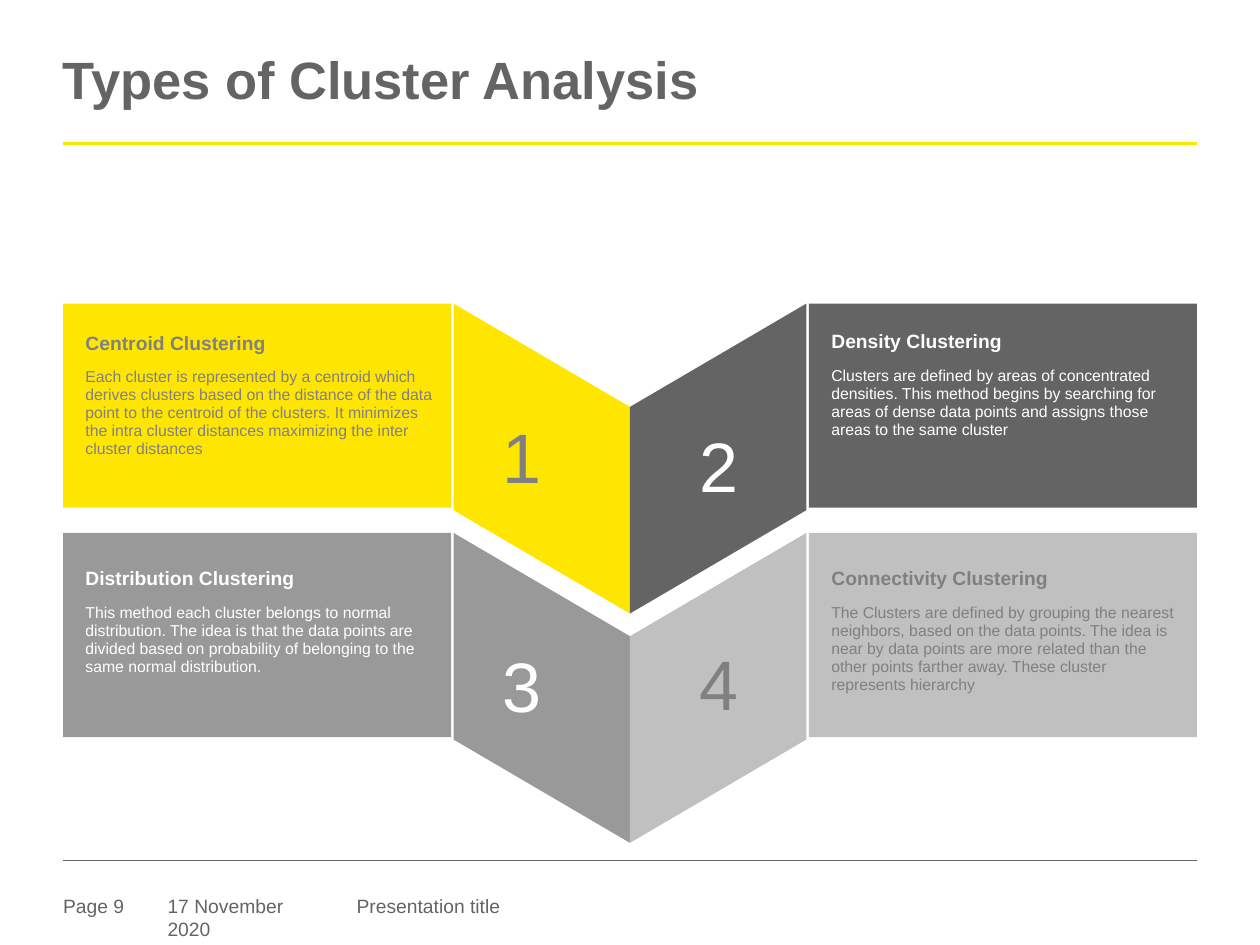
from pptx import Presentation
from pptx.dml.color import RGBColor
from pptx.enum.shapes import MSO_CONNECTOR, MSO_SHAPE
from pptx.enum.text import MSO_ANCHOR, PP_ALIGN
from pptx.oxml.ns import qn
from pptx.util import Inches, Pt
from lxml import etree

STRAIGHT = MSO_CONNECTOR.STRAIGHT
RECTANGLE = MSO_SHAPE.RECTANGLE
TOP, BOTTOM = MSO_ANCHOR.TOP, MSO_ANCHOR.BOTTOM
CENTER = PP_ALIGN.CENTER

WIDTH, HEIGHT = 10, 7.5
MARGIN = 0.5
CENTRE = WIDTH / 2
ROW_TOPS = (2.41, 4.23)
CARD_WIDTH, CARD_HEIGHT = 3.08, 1.62
WING_WIDTH, WING_HEIGHT, WING_DROP = 1.4, 1.64, 0.82
CARD_LEFTS = (MARGIN, WIDTH - MARGIN - CARD_WIDTH)
NUMBER_LEFTS = (3.99, 5.55)
YELLOW, DARK, MID, LIGHT = "FFE600", "646464", "999999", "C0C0C0"
GREY, WHITE = "808080", "FFFFFF"

# row, column, fill, text colour, number top, text top, heading, body
CLUSTERS = [
    (0, 0, YELLOW, GREY, 3.34, 2.59, "Centroid Clustering",
     "Each cluster is represented by a centroid which derives clusters based on "
     "the distance of the data point to the centroid of the clusters. It minimizes "
     "the intra cluster distances maximizing the inter cluster distances"),
    (0, 1, DARK, WHITE, 3.41, 2.58, "Density Clustering",
     "Clusters are defined by areas of concentrated densities. This method begins "
     "by searching for areas of dense data points and assigns those areas to the "
     "same cluster"),
    (1, 0, MID, WHITE, 5.16, 4.46, "Distribution Clustering",
     "This method each cluster belongs to normal distribution. The idea is that the "
     "data points are divided based on probability of belonging to the same normal "
     "distribution."),
    (1, 1, LIGHT, GREY, 5.14, 4.46, "Connectivity Clustering",
     "The Clusters are defined by grouping the nearest neighbors, based on the data "
     "points. The idea is near by data points are more related than the other points "
     "farther away. These cluster represents hierarchy"),
]
# text, left, width, wrap
FOOTER = [("Page 9", 0.5, 0.79, True), ("17 November 2020", 1.33, 1.3, False),
          ("Presentation title", 2.83, 3.76, True)]


def rgb(hex_code):
    return RGBColor.from_string(hex_code)


def paint(shape, color):
    shape.shadow.inherit = False
    shape.fill.solid()
    shape.fill.fore_color.rgb = rgb(color)
    shape.line.fill.background()


def add_rule(slide, y, color, weight):
    rule = slide.shapes.add_connector(
        STRAIGHT, Inches(MARGIN), Inches(y), Inches(WIDTH - MARGIN), Inches(y))
    rule.line.color.rgb = rgb(color)
    rule.line.width = Pt(weight)
    etree.SubElement(rule._element.spPr, qn("a:effectLst"))


def add_text(slide, box, paragraphs, color, insets=(0, 0, 0, 0), anchor=TOP,
             wrap=True, **layout):
    """Write (text, size, bold) paragraphs; layout holds paragraph formats."""
    frame = slide.shapes.add_textbox(*map(Inches, box)).text_frame
    frame.word_wrap = wrap
    frame.vertical_anchor = anchor
    for side, inset in zip(("left", "top", "right", "bottom"), insets):
        setattr(frame, f"margin_{side}", Inches(inset))
    for index, (text, size, bold) in enumerate(paragraphs):
        paragraph = frame.add_paragraph() if index else frame.paragraphs[0]
        for name, value in layout.items():
            setattr(paragraph, name, value)
        run = paragraph.add_run()
        run.text = text
        for name, value in {"name": "Arial", "size": Pt(size), "bold": bold}.items():
            setattr(run.font, name, value)
        run.font.color.rgb = rgb(color)


def add_wing(slide, top, column, color):
    """Draw the slanted panel between a card and the centre line."""
    outer = CENTRE + (WING_WIDTH if column else -WING_WIDTH)
    corners = [(outer, top), (outer, top + WING_HEIGHT),
               (CENTRE, top + WING_HEIGHT + WING_DROP), (CENTRE, top + WING_DROP)]
    start, *rest = [(Inches(x), Inches(y)) for x, y in corners]
    builder = slide.shapes.build_freeform(*start)
    builder.add_line_segments(rest, close=True)
    paint(builder.convert_to_shape(), color)


def add_card(slide, top, column, color):
    card = slide.shapes.add_shape(
        RECTANGLE, Inches(CARD_LEFTS[column]), Inches(top),
        Inches(CARD_WIDTH), Inches(CARD_HEIGHT))
    paint(card, color)


def add_cluster(slide, number, cluster):
    row, column, fill, color, number_top, text_top, heading, body = cluster
    add_wing(slide, ROW_TOPS[row], column, fill)
    add_card(slide, ROW_TOPS[row], column, fill)
    add_text(slide, (NUMBER_LEFTS[column], number_top, 0.31, 0.61),
             [(str(number), 40, False)], color, (0, 0.04, 0, 0), BOTTOM, False,
             alignment=CENTER, line_spacing=0.85, space_after=Pt(6))
    add_text(slide, (CARD_LEFTS[column] + 0.08, text_top, 3, 1.11),
             [(heading, 11, True), (body, 9, False)], color,
             (0.1, 0.05, 0.1, 0.05), line_spacing=0.95, space_after=Pt(8))


def main():
    deck = Presentation()
    deck.slide_width, deck.slide_height = Inches(WIDTH), Inches(HEIGHT)
    slide = deck.slides.add_slide(deck.slide_layouts[6])
    add_text(slide, (MARGIN, 0.45, WIDTH - 2 * MARGIN, 0.46),
             [("Types of Cluster Analysis", 30, True)], DARK, line_spacing=0.85)
    add_rule(slide, 1.14, YELLOW, 1.5)
    add_rule(slide, 6.83, DARK, 0.25)
    for text, left, width, wrap in FOOTER:
        add_text(slide, (left, 7.1, width, 0.22), [(text, 11, False)], DARK, wrap=wrap)
    for number, cluster in enumerate(CLUSTERS, 1):
        add_cluster(slide, number, cluster)
    deck.save("out.pptx")


if __name__ == "__main__":
    main()
